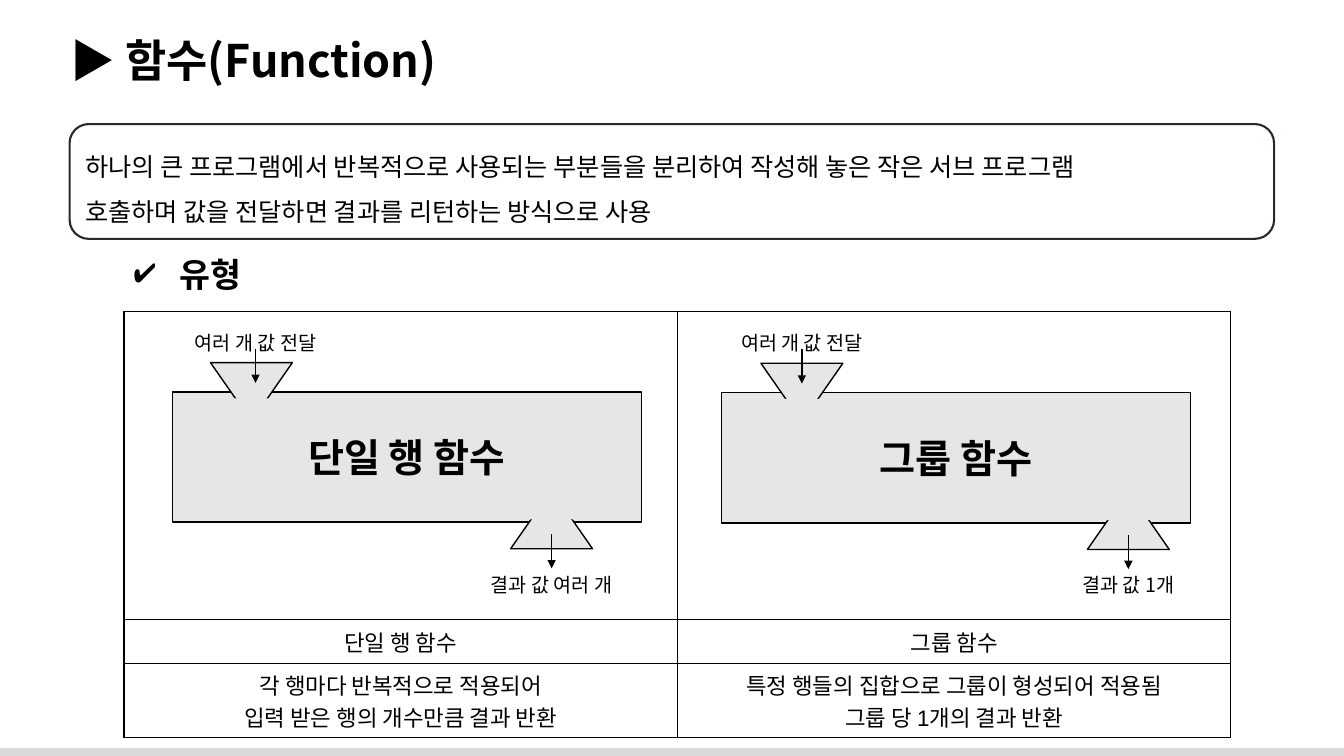
"""Builds a slide that explains single-row and group functions."""
from lxml import etree
from pptx import Presentation
from pptx.dml.color import RGBColor
from pptx.enum.shapes import MSO_CONNECTOR, MSO_SHAPE
from pptx.enum.text import MSO_ANCHOR, MSO_AUTO_SIZE, PP_ALIGN
from pptx.oxml.ns import qn
from pptx.util import Pt

BLACK = RGBColor(0x00, 0x00, 0x00)
NAVY = RGBColor(0x22, 0x2A, 0x35)
GRAY = RGBColor(0xE7, 0xE6, 0xE6)
FOOTER_GRAY = RGBColor(0xD9, 0xD9, 0xD9)
KOREAN_FONT = "Noto Sans CJK KR"
TABLE_FONT = "Arial"
TITLE_ONLY = 5
STRAIGHT = MSO_CONNECTOR.STRAIGHT
RECTANGLE = MSO_SHAPE.RECTANGLE
ROUNDED = MSO_SHAPE.ROUNDED_RECTANGLE
TRIANGLE = MSO_SHAPE.ISOSCELES_TRIANGLE
LEFT, CENTER = PP_ALIGN.LEFT, PP_ALIGN.CENTER
TOP, MIDDLE = MSO_ANCHOR.TOP, MSO_ANCHOR.MIDDLE
NO_AUTOFIT = MSO_AUTO_SIZE.NONE

BODY_WIDTH, BODY_HEIGHT = 335, 93
FUNNEL_WIDTH, FUNNEL_HEIGHT = 58.5, 42
MASK_WIDTH, MASK_HEIGHT = 69, 47
LABEL_WIDTH, LABEL_HEIGHT = 114.5, 24.5
ARROW_LENGTH = 24.5

TABLE_COLUMNS = (395.3, 395.3)
TABLE_ROWS = (
    (220.3, ("", "")),
    (31, ("단일 행 함수", "그룹 함수")),
    (53.3, ("각 행마다 반복적으로 적용되어\n입력 받은 행의 개수만큼 결과 반환",
            "특정 행들의 집합으로 그룹이 형성되어 적용됨\n그룹 당 1개의 결과 반환")),
)


def box(left, top, width, height):
    """Return a position and size in points."""
    return Pt(left), Pt(top), Pt(width), Pt(height)


def write(frame, text, size, bold=False, align=CENTER, anchor=TOP,
          font=KOREAN_FONT, spacing=None):
    """Fill a text frame, one paragraph for each line of text."""
    frame.word_wrap = True
    frame.vertical_anchor = anchor
    for index, line in enumerate(text.split("\n")):
        paragraph = frame.add_paragraph() if index else frame.paragraphs[0]
        paragraph.alignment = align
        if spacing:
            paragraph.line_spacing = spacing
        run = paragraph.add_run()
        run.text = line
        run.font.size = Pt(size)
        run.font.bold = bold
        run.font.color.rgb = BLACK
        run.font.name = font
        east_asian = etree.SubElement(run._r.get_or_add_rPr(), qn("a:ea"))
        east_asian.set("typeface", KOREAN_FONT)


def add_shape(slide, kind, place, fill=None, line=None, weight=1):
    """Add a preset shape without a shadow."""
    shape = slide.shapes.add_shape(kind, *box(*place))
    shape.shadow.inherit = False
    if fill is None:
        shape.fill.background()
    else:
        shape.fill.solid()
        shape.fill.fore_color.rgb = fill
    if line is None:
        shape.line.fill.background()
    else:
        shape.line.color.rgb = line
        shape.line.width = Pt(weight)
    return shape


def add_label(slide, text, place, size, **style):
    """Add a text box and return it."""
    label = slide.shapes.add_textbox(*box(*place))
    write(label.text_frame, text, size, **style)
    return label


def add_arrow(slide, x, top):
    """Add an arrow that points down."""
    arrow = slide.shapes.add_connector(
        STRAIGHT, Pt(x), Pt(top), Pt(x), Pt(top + ARROW_LENGTH))
    arrow.line.color.rgb = BLACK
    arrow.line.width = Pt(1)
    etree.SubElement(arrow.line._get_or_add_ln(), qn("a:tailEnd"), type="triangle")
    etree.SubElement(arrow._element.spPr, qn("a:effectLst"))


def add_title(slide):
    """Place and write the title."""
    title = slide.shapes.title
    title.left, title.top, title.width, title.height = box(43, 20, 907, 46)
    title.text_frame.auto_size = NO_AUTOFIT
    write(title.text_frame, "▶ 함수(Function)", 32, bold=True, align=LEFT)


def add_definition(slide):
    """Add the rounded box with the definition."""
    shape = add_shape(slide, ROUNDED, (49.7, 88.6, 860.4, 82), line=NAVY, weight=1.5)
    write(shape.text_frame,
          "하나의 큰 프로그램에서 반복적으로 사용되는 부분들을 분리하여 작성해 놓은 작은 서브 프로그램\n"
          "호출하며 값을 전달하면 결과를 리턴하는 방식으로 사용",
          18, align=LEFT, anchor=MIDDLE, spacing=1.5)


def add_heading(slide):
    """Add the heading with a check mark bullet."""
    heading = add_label(slide, " 유형", (88.6, 178, 98.6, 36), 24, bold=True, align=LEFT)
    properties = heading.text_frame.paragraphs[0]._p.get_or_add_pPr()
    properties.set("marL", str(Pt(27)))
    properties.set("indent", str(Pt(-27)))
    etree.SubElement(properties, qn("a:buChar"), char="✔")


def add_borders(cell):
    """Draw a black line on each side of a cell."""
    properties = cell._tc.get_or_add_tcPr()
    for index, side in enumerate(("lnL", "lnR", "lnT", "lnB")):
        line = etree.Element(qn(f"a:{side}"), w=str(Pt(1)))
        fill = etree.SubElement(line, qn("a:solidFill"))
        etree.SubElement(fill, qn("a:srgbClr"), val=str(BLACK))
        properties.insert(index, line)


def add_type_table(slide):
    """Add the table of function types."""
    height = sum(row_height for row_height, _ in TABLE_ROWS)
    table = slide.shapes.add_table(
        len(TABLE_ROWS), len(TABLE_COLUMNS),
        *box(88.6, 222.5, sum(TABLE_COLUMNS), height)).table
    table.first_row = table.horz_banding = False
    for column, width in zip(table.columns, TABLE_COLUMNS):
        column.width = Pt(width)
    for row, (row_height, texts) in zip(table.rows, TABLE_ROWS):
        row.height = Pt(row_height)
        for cell, text in zip(row.cells, texts):
            cell.fill.background()
            add_borders(cell)
            cell.vertical_anchor = MIDDLE
            if text:
                write(cell.text_frame, text, 16, anchor=MIDDLE, font=TABLE_FONT)


def add_funnel(slide, center, top, mask_top, rotation):
    """Add a funnel and the patch that opens it into the body."""
    funnel = add_shape(slide, TRIANGLE, (center - FUNNEL_WIDTH / 2, top,
                                         FUNNEL_WIDTH, FUNNEL_HEIGHT), GRAY, BLACK)
    funnel.rotation = rotation
    add_shape(slide, RECTANGLE, (center - MASK_WIDTH / 2, mask_top,
                                 MASK_WIDTH, MASK_HEIGHT), GRAY)


def add_machine(slide, name, result, left, top, inlet, feed, outlet):
    """Draw a function as a machine with an inlet and an outlet."""
    body = add_shape(slide, RECTANGLE, (left, top, BODY_WIDTH, BODY_HEIGHT), GRAY, BLACK)
    write(body.text_frame, name, 28, bold=True, anchor=MIDDLE)
    add_funnel(slide, inlet, top - 21, top + 4.5, 180)
    add_funnel(slide, outlet, top + 70, top + 44, 0)
    for text, center, label_top, arrow_top in (
            ("여러 개 값 전달", feed, top - 47.5, top - 31),
            (result, outlet, top + 125.5, top + 101.5)):
        add_label(slide, text, (center - LABEL_WIDTH / 2, label_top,
                                LABEL_WIDTH, LABEL_HEIGHT), 14)
        add_arrow(slide, center, arrow_top)


def main():
    """Build and save the slide."""
    presentation = Presentation()
    presentation.slide_width, presentation.slide_height = Pt(960), Pt(540)
    slide = presentation.slides.add_slide(presentation.slide_layouts[TITLE_ONLY])
    add_shape(slide, RECTANGLE, (0, 534.2, 960, 5.8), FOOTER_GRAY)
    add_type_table(slide)
    add_title(slide)
    add_definition(slide)
    add_machine(slide, "단일 행 함수", "결과 값 여러 개", 123.2, 280, 179.6, 182.5, 394)
    add_heading(slide)
    add_machine(slide, "그룹 함수", "결과 값 1개", 515.5, 280.5, 572.8, 572.8, 806)
    presentation.save("out.pptx")


if __name__ == "__main__":
    main()
